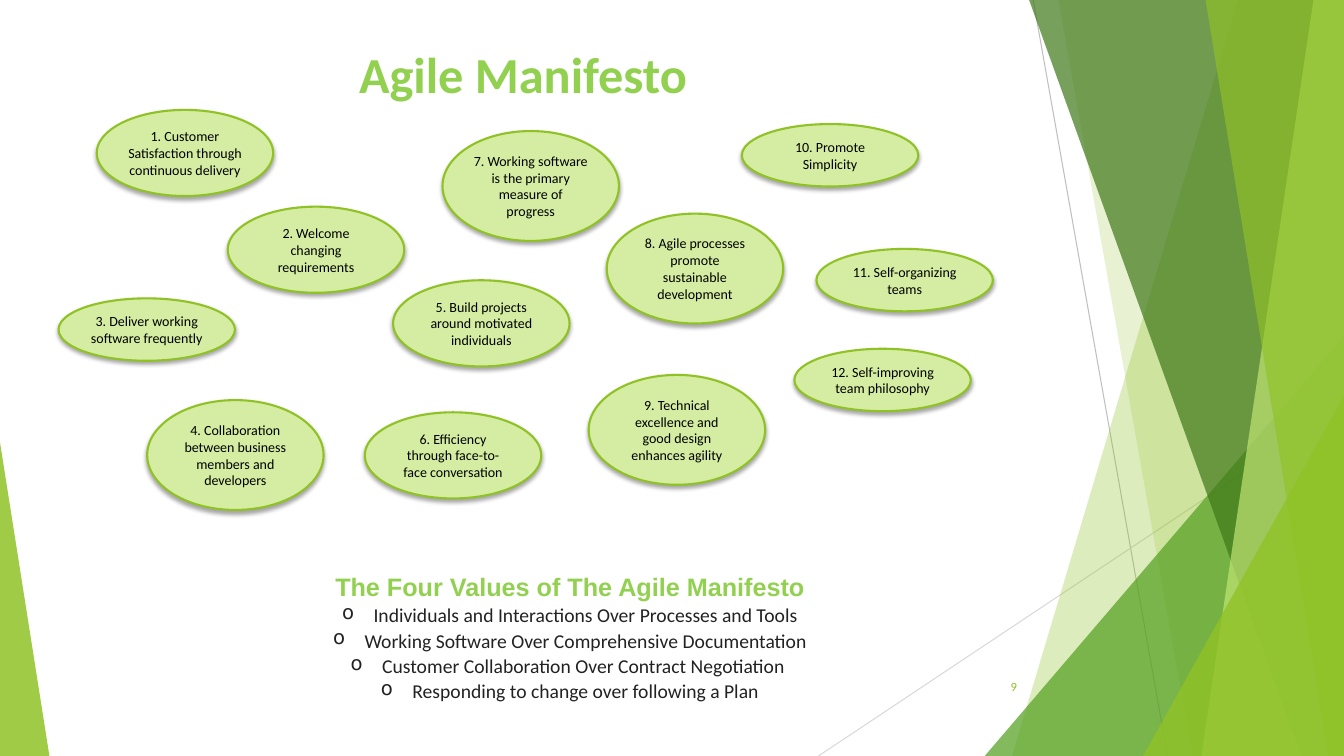
from lxml import etree
from pptx import Presentation
from pptx.dml.color import RGBColor
from pptx.enum import shapes as kinds, text as txt
from pptx.oxml import ns
from pptx.util import Pt

HUE = {"leaf": "90C226", "grass": "54A021", "moss": "3F7819", "lime": "C0E474",
       "pale": "D5EDA2", "head": "92D050", "ink": "222222", "black": "000000",
       "gray": "BFBFBF", "mist": "D9D9D9"}
MID = txt.PP_ALIGN.CENTER
FRAME = {"margin_left": Pt(3.6), "margin_right": Pt(3.6), "margin_top": Pt(3.6),
         "margin_bottom": Pt(3.6), "word_wrap": True}
TITLE = {"name": "Calibri", "size": Pt(36), "bold": True}
HEAD = {"name": "Arial", "size": Pt(18), "bold": True}
BODY = {"name": "Calibri", "size": Pt(14), "bold": False}
SMALL = {"name": "Calibri", "size": Pt(10)}
PAGE = {"name": "Calibri", "size": Pt(9)}

# Top x, top y, foot x, colour and opacity; each facet runs to the right edge
FACETS = [(300.2, 0, 138.9, "leaf", 30), (172, 0, 267.8, "leaf", 20),
          (376, 240, 119.4, "grass", 72), (151.1, 0, 345.5, "moss", 70),
          (354.2, 0, 274.2, "lime", 70), (277.1, 0, 365, "leaf", 65),
          (376, 283, 232.5, "leaf", 80)]

# Left, top, number of text lines, wording
IDEAS = [
    (69.1, 78.5, 3, "1. Customer Satisfaction through continuous delivery"),
    (162.7, 147.6, 3, "2. Welcome changing\nrequirements"),
    (41.8, 213.1, 2, "3. Deliver working software frequently"),
    (105.1, 285.8, 4, "4. Collaboration between business members and developers"),
    (280.8, 200.2, 3, "5. Build projects around motivated individuals"),
    (260.6, 294.5, 3, "6. Efficiency through face-to-face conversation"),
    (316.1, 93.6, 4, "7. Working software is the primary measure of progress"),
    (433.4, 152.6, 4, "8. Agile processes promote sustainable development"),
    (420.5, 267.8, 4, "9. Technical excellence and good design enhances agility"),
    (529.9, 88.6, 2, "10. Promote Simplicity"),
    (583.2, 177.8, 2, "11. Self-organizing teams"),
    (567.4, 249.1, 2, "12. Self-improving team philosophy"),
]

VALUES = ["Individuals and Interactions Over Processes and Tools",
          "Working Software Over Comprehensive Documentation",
          "Customer Collaboration Over Contract Negotiation ",
          "Responding to change over following a Plan"]


def rgb(hue):
    return RGBColor.from_string(HUE[hue])


def put(item, form):
    for key, val in form.items():
        setattr(item, key, val)


def add(parent, tag, **attrs):
    node = etree.SubElement(parent, ns.qn(tag))
    for key, val in attrs.items():
        node.set(key, str(val))
    return node


def write(frame, words, font, hue, align=MID):
    put(frame, FRAME)
    frame.text = words
    for para in frame.paragraphs:
        para.alignment = align
        put(para.font, font)
        para.font.color.rgb = rgb(hue)


def label(slide, box, *style):
    frame = slide.shapes.add_textbox(*map(Pt, box)).text_frame
    write(frame, *style)
    return frame


def facet(slide, points, hue, alpha):
    points = [(Pt(x), Pt(y)) for x, y in points]
    pen = slide.shapes.build_freeform(*points[0], scale=1.0)
    pen.add_line_segments(points[1:], close=True)
    shape = pen.convert_to_shape()
    shape.shadow.inherit = False
    shape.line.fill.background()
    shape.fill.solid()
    shape.fill.fore_color.rgb = rgb(hue)
    tint = shape._element.spPr.find(".//" + ns.qn("a:srgbClr"))
    add(tint, "a:alpha", val=alpha * 1000)


def rule(slide, start, end, hue):
    line = slide.shapes.add_connector(kinds.MSO_CONNECTOR.STRAIGHT,
                                      *map(Pt, start + end))
    line.line.color.rgb = rgb(hue)
    line.line.width = Pt(0.75)
    add(line._element.spPr, "a:effectLst")


def decor(slide, box):
    x, y, w, h = box
    # Thin lines behind the facets
    rule(slide, (x + 154, y), (x + 250, y + h), "gray")
    rule(slide, (x + w, y + 290), (x + 0.6, y + h), "mist")
    for top, drop, foot, hue, alpha in FACETS:
        facet(slide, [(x + top, y + drop), (x + w, y + drop),
                      (x + w, y + h), (x + foot, y + h)], hue, alpha)


def wedge(slide, box):
    x, y, w, h = box
    facet(slide, [(x, y + h), (x, y), (x + w, y + h)], "leaf", 85)


def bubble(slide, box, words):
    oval = slide.shapes.add_shape(kinds.MSO_SHAPE.OVAL, *map(Pt, box))
    oval.fill.solid()
    oval.fill.fore_color.rgb = rgb("pale")
    oval.line.color.rgb = rgb("leaf")
    oval.line.width = Pt(1.5)
    # Soft shadow straight below
    oval.shadow.inherit = False
    glow = add(oval._element.spPr.find(ns.qn("a:effectLst")), "a:outerShdw",
               blurRad=Pt(3), dist=Pt(2), dir=90 * 60000, rotWithShape=0)
    add(add(glow, "a:srgbClr", val=HUE["black"]), "a:alpha", val=35000)
    write(oval.text_frame, words, SMALL, "black")
    oval.text_frame.vertical_anchor = txt.MSO_ANCHOR.MIDDLE


def cloud(slide, box):
    x, y, wide = box
    for left, top, lines, words in IDEAS:
        high = 44.6 + 16.95 * (lines - 2)
        bubble(slide, (x + left, y + top, wide, high), words)


def values(slide, box):
    frame = label(slide, box, "The Four Values of The Agile Manifesto", HEAD, "head")
    frame.paragraphs[0].line_spacing = 1.07
    for words in VALUES:
        para = frame.add_paragraph()
        para.text = words
        put(para, {"alignment": MID, "line_spacing": 1.07})
        put(para.font, BODY)
        para.font.color.rgb = rgb("ink")
        # Hanging bullet
        props = para._p.get_or_add_pPr()
        props.set("marL", str(Pt(22.5)))
        props.set("indent", str(Pt(-22.5)))
        add(props, "a:buChar", char="o")
        add(add(props, "a:tabLst"), "a:tab", pos=Pt(36), algn="l")


def number(slide, box):
    frame = label(slide, box, "9", PAGE, "leaf", txt.PP_ALIGN.RIGHT)
    put(frame, {"word_wrap": False, "vertical_anchor": txt.MSO_ANCHOR.MIDDLE})


def main():
    deck = Presentation()
    put(deck, {"slide_width": Pt(960), "slide_height": Pt(540)})
    slide = deck.slides.add_slide(deck.slide_layouts[6])
    decor(slide, (584, 0, 376, 540))
    wedge(slide, (0, 316, 35.3, 224))
    label(slide, (142.6, 27.4, 462.2, 39.6), "Agile Manifesto", TITLE, "head")
    values(slide, (209.5, 403.2, 395.3, 103))
    cloud(slide, (0, 0, 126))
    number(slide, (712.8, 481.7, 17.3, 17.3))
    deck.save("out.pptx")


if __name__ == "__main__":
    main()
